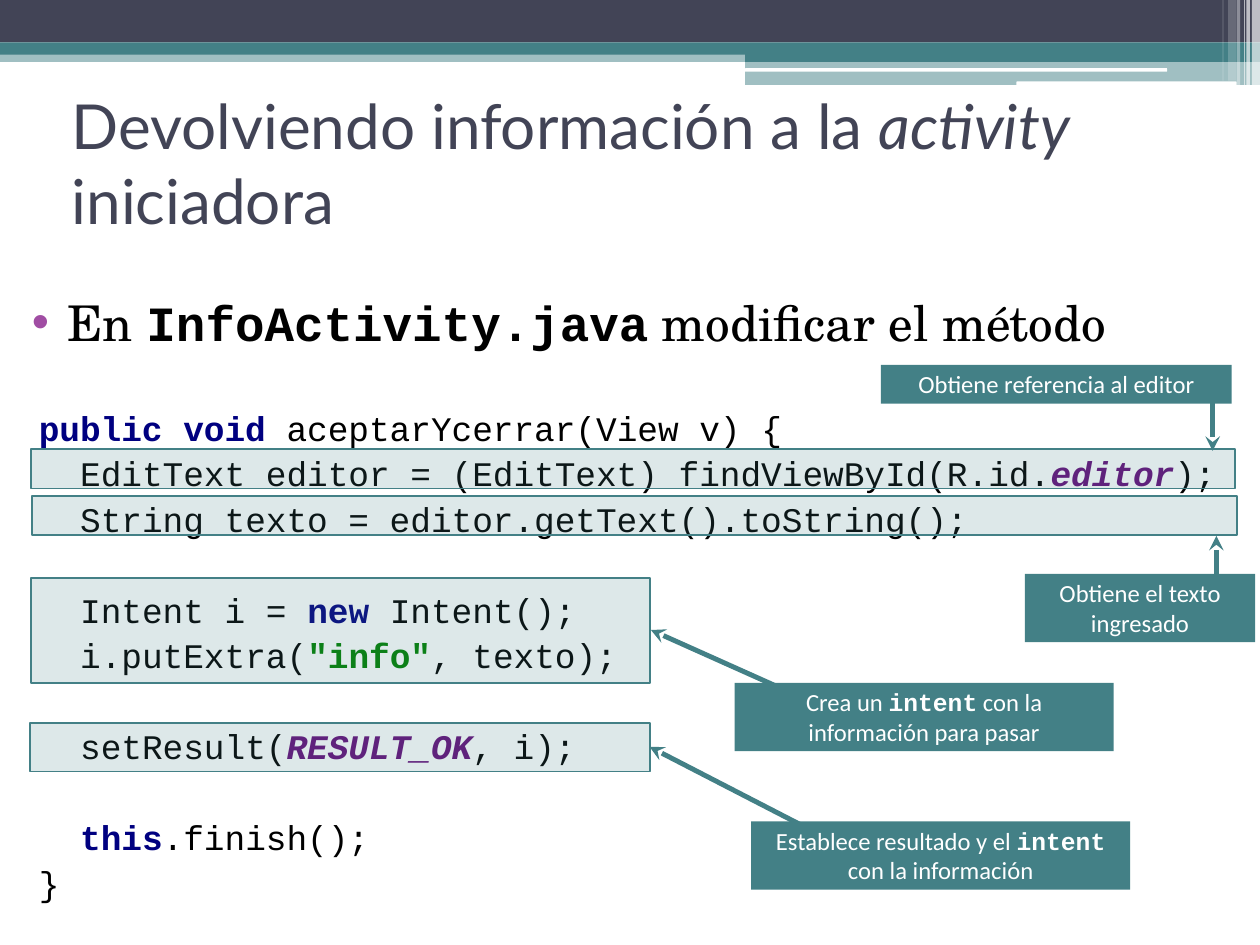
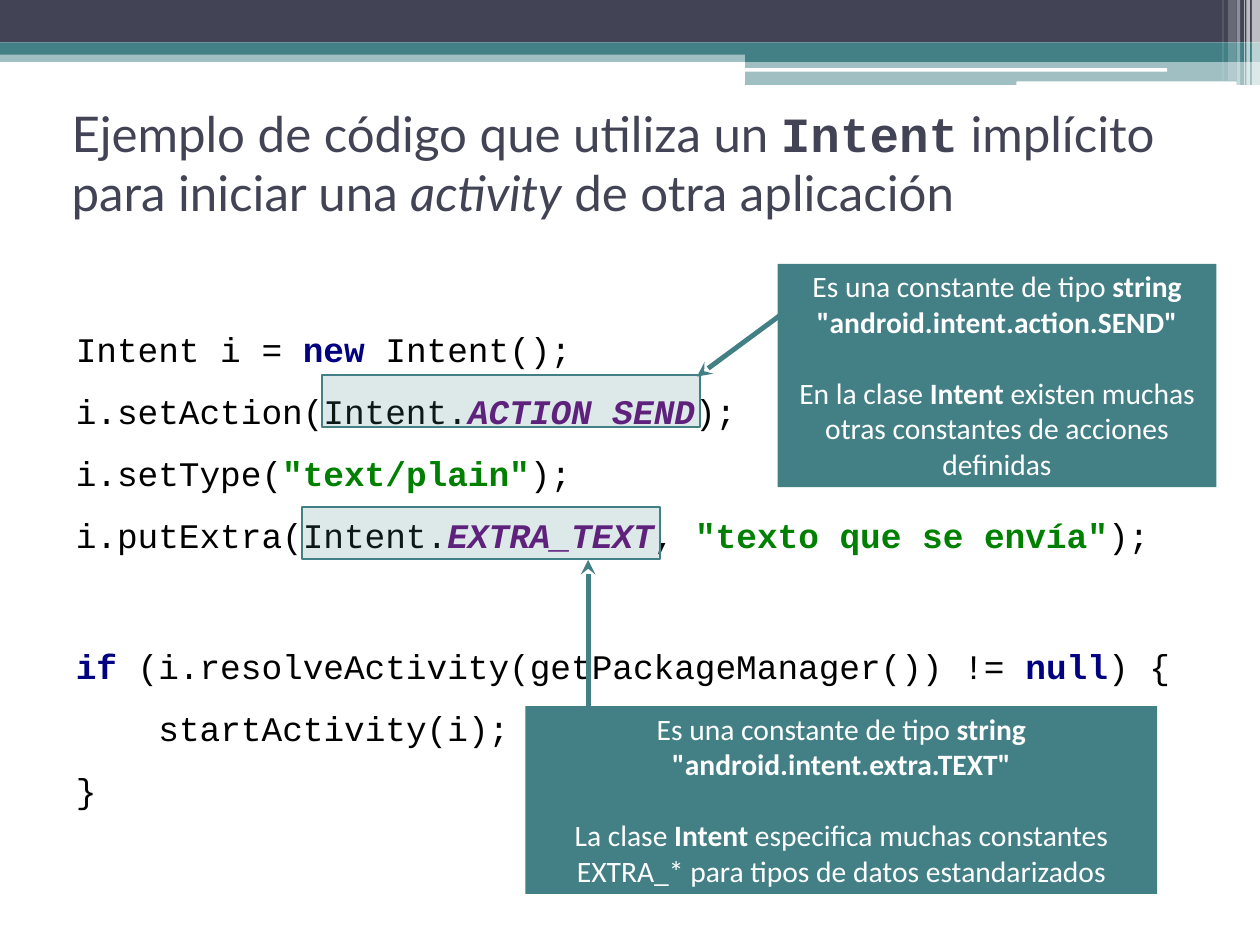
import dataclasses

import lxml.etree
import pptx
import pptx.dml.color
import pptx.enum.shapes
import pptx.enum.text
import pptx.oxml.ns
import pptx.util

Pt = pptx.util.Pt
qn = pptx.oxml.ns.qn
KIND = pptx.enum.shapes.MSO_SHAPE
ALIGN = pptx.enum.text.PP_ALIGN
ANCHOR = pptx.enum.text.MSO_ANCHOR
FIT = pptx.enum.text.MSO_AUTO_SIZE


@dataclasses.dataclass(frozen=True)
class Theme:
    dark: str = "424456"
    teal: str = "438086"
    white: str = "FFFFFF"
    black: str = "000000"
    dot: str = "A04DA3"
    navy: str = "000080"
    plum: str = "660E7A"
    green: str = "008000"
    head: str = "Lato"
    body: str = "TeX Gyre Schola"
    mono: str = "Courier New"
    note: str = "Calibri"
    big: float = 50.4
    mid: float = 40
    code: float = 28
    large: float = 24
    small: float = 20
    wash: int = 18


T = Theme()
WIDE, HIGH = 1024, 768
CHAR = T.code * 0.6

STYLES = {
    "key": {"ink": T.navy, "bold": True},
    "const": {"ink": T.plum, "bold": True, "italic": True},
    "quote": {"ink": T.green, "bold": True},
    "mono": {"name": T.mono, "bold": True},
    "bold": {"bold": True},
    "slant": {"italic": True},
}

BANDS = [
    (0, 41, WIDE, 9.4, T.teal, 50),
    (0, 0, WIDE, 34.5, T.dark, 100),
    (0, 34.5, WIDE, 10, T.teal, 100),
    (605.5, 40.3, 418.5, 10, T.teal, 100),
    (605.5, 49, 418.5, 20, T.teal, 50),
]
PILLS = [
    (605.5, 55.4, 343, 2.9, T.white, 100),
    (826, 66.2, 179, 4.3, T.white, 100),
]
STRIPES = [
    (1017.4, 6.5, 70, 65),
    (1013, 2.9, 70, 65),
    (1011, 0.7, 70, 60),
    (1005, 2.9, 70, 40),
    (998, 6.5, 65.5, 20),
    (993.6, 0.7, 65.5, 30),
]


def rgb(ink):
    return pptx.dml.color.RGBColor.from_string(ink)


def put(item, form):
    for name, value in form.items():
        if name == "ink":
            item.color.rgb = rgb(value)
        else:
            setattr(item, name, value)


def place(shape, left, top, width, height):
    put(shape, {"left": Pt(left), "top": Pt(top),
                "width": Pt(width), "height": Pt(height)})


def write(frame, lines, base, shared=None):
    for num, (runs, form) in enumerate(lines):
        para = frame.paragraphs[0] if num == 0 else frame.add_paragraph()
        put(para, {**(shared or {}), **form})
        for part in runs:
            text, style = (part, None) if isinstance(part, str) else part
            run = para.add_run()
            run.text = text
            put(run.font, {**base, **STYLES.get(style, {})})


def inset(para, left, first=0):
    props = para._p.get_or_add_pPr()
    props.set("marL", str(Pt(left)))
    props.set("indent", str(Pt(first)))
    return props


def block(shapes, kind, spot, fill, solid=100, edge=None):
    shape = shapes.add_shape(kind, *map(Pt, spot))
    shape.shadow.inherit = False
    shape.fill.solid()
    shape.fill.fore_color.rgb = rgb(fill)
    if solid < 100:
        color = shape.element.spPr.find(f"{qn('a:solidFill')}/{qn('a:srgbClr')}")
        lxml.etree.SubElement(color, qn("a:alpha"), val=str(solid * 1000))
    if edge:
        shape.line.color.rgb = rgb(edge)
        shape.line.width = Pt(1.5)
    else:
        shape.line.fill.background()
    return shape


def arrow(shapes, start, end):
    line = shapes.add_connector(pptx.enum.shapes.MSO_CONNECTOR.STRAIGHT,
                                *map(Pt, start + end))
    line.line.color.rgb = rgb(T.teal)
    line.line.width = Pt(4)
    props = line.element.spPr
    lxml.etree.SubElement(props.find(qn("a:ln")), qn("a:tailEnd"), type="stealth")
    lxml.etree.SubElement(props, qn("a:effectLst"))


def callout(slide, start, end, spot, frame, lines, size):
    shapes = slide.shapes.add_group_shape().shapes
    arrow(shapes, start, end)
    label = block(shapes, KIND.RECTANGLE, spot, T.teal)
    put(label.text_frame, {"word_wrap": True, "vertical_anchor": ANCHOR.TOP})
    write(label.text_frame, lines,
          {"name": T.note, "size": Pt(size), "ink": T.white},
          {"alignment": ALIGN.CENTER})
    block(shapes, KIND.RECTANGLE, frame, T.teal, T.wash, T.teal)


def title(slide, runs, size):
    frame = slide.shapes.title.text_frame
    put(frame, {"auto_size": FIT.NONE, "vertical_anchor": ANCHOR.MIDDLE})
    write(frame, [(runs, {"alignment": ALIGN.LEFT})], 
          {"name": T.head, "size": Pt(size), "ink": T.dark})


def bullet(slide, runs, spot):
    body = slide.placeholders[1]
    place(body, *spot)
    body.text_frame.auto_size = FIT.NONE
    write(body.text_frame,
          [(runs, {"line_spacing": 1.1, "space_before": Pt(24)})],
          {"name": T.body, "size": Pt(T.mid), "ink": T.black})
    props = inset(body.text_frame.paragraphs[0], 41, -28.8)
    color = lxml.etree.SubElement(props, qn("a:buClr"))
    lxml.etree.SubElement(color, qn("a:srgbClr"), val=T.dot)


def listing(slide, spot, rows):
    frame = slide.shapes.add_textbox(*map(Pt, spot)).text_frame
    put(frame, {"word_wrap": True, "vertical_anchor": ANCHOR.MIDDLE})
    lines = [(runs, {"line_spacing": pitch, "space_before": Pt(gap)})
             for runs, depth, pitch, gap in rows]
    write(frame, lines, {"name": T.mono, "size": Pt(T.code), "ink": T.black})
    for para, row in zip(frame.paragraphs, rows):
        inset(para, row[1] * CHAR)


def master(deck, slide):
    base = deck.slide_master
    place(base.placeholders[0], 51, 72, 922, 119.5)
    bars = [(KIND.RECTANGLE, *bar) for bar in BANDS]
    bars += [(KIND.ROUNDED_RECTANGLE, *pill) for pill in PILLS]
    bars += [(KIND.RECTANGLE, left, 0, width, height, T.white, solid)
             for left, width, height, solid in STRIPES]
    for num, (kind, *spot, fill, solid) in enumerate(bars):
        shape = block(slide.shapes, kind, spot, fill, solid)
        shape.element.nvSpPr.cNvPr.set("id", str(100 + num))
        base.shapes.element.insert(2 + num, shape.element)


def result(slide):
    title(slide, ["Devolviendo información a la ", ("activity", "slant"),
                  " iniciadora"], T.big)
    listing(slide, (24.5, 308, 980, 431.5), [
        ([("public void ", "key"), "aceptarYcerrar(View v) {"], 0, 1.5, 0),
        (["EditText editor = (EditText) findViewById(R.id.",
          ("editor", "const"), ");"], 2, 1.1, 0),
        (["String texto = editor.getText().toString();"], 2, 1.1, 0),
        (["Intent i = ", ("new ", "key"), "Intent();"], 2, 1.1, 37),
        (["i.putExtra(", ("\"info\"", "quote"), ", texto);"], 2, 1.1, 0),
        (["setResult(", ("RESULT_OK", "const"), ", i);"], 2, 1.1, 37),
        ([("this", "key"), ".finish();"], 2, 1.1, 37),
        (["}"], 0, 1.1, 0),
    ])
    bullet(slide, ["En ", ("InfoActivity.java", "mono"),
                   " modificar el método"], (6.5, 229, 973, 75.5))
    notes = [
        ((985.5, 327.5), (985.5, 366.5), (716, 296.5, 285, 31.5),
         (25, 365, 979, 32), ["Obtiene referencia al editor"]),
        ((988.5, 473), (988.5, 435.5), (833, 466.5, 187, 55.5),
         (26, 403, 979, 32), ["Obtiene el texto ingresado"]),
        ((687.5, 583), (529, 512), (597, 555, 308, 55.5),
         (25, 469.5, 503.5, 85.5),
         ["Crea un ", ("intent", "mono"), " con la información para pasar"]),
        ((687, 689), (528, 607), (610.5, 667.5, 308, 55.5),
         (24.5, 587.5, 503.5, 39.5),
         ["Establece resultado y el ", ("intent", "mono"),
          " con la información"]),
    ]
    for start, end, spot, frame, runs in notes:
        callout(slide, start, end, spot, frame, [(runs, {})], T.small)


def implied(slide):
    title(slide, ["Ejemplo de código que utiliza un ", ("Intent", "mono"),
                  " implícito para iniciar una ", ("activity", "slant"),
                  " de otra aplicación"], T.mid)
    rows = [
        (["Intent i = ", ("new ", "key"), "Intent();"], 0, 0),
        (["i.setAction(Intent.", ("ACTION_SEND", "const"), ");"], 0, 0),
        (["i.setType(", ("\"text/plain\"", "quote"), ");"], 0, 0),
        (["i.putExtra(Intent.", ("EXTRA_TEXT", "const"), ", ",
          ("\"texto que se envía\"", "quote"), ");"], 0, 0),
        ([("if ", "key"), "(i.resolveActivity(getPackageManager()) != ",
          ("null", "key"), ") {"], 0, 56),
        (["startActivity(i);"], 4, 0),
        (["}"], 0, 0),
    ]
    listing(slide, (54.5, 244, 914, 420.5),
            [(runs, depth, 1.5, gap) for runs, depth, gap in rows])
    notes = [
        ((659.5, 237.5), (566.5, 306), (632, 214.5, 356.5, 181.5),
         (261.5, 304.5, 307.5, 42.5), "\"android.intent.action.SEND\"",
         ["En la clase ", ("Intent", "bold"),
          " existen muchas otras constantes de acciones definidas"]),
        ((478, 639.5), (478, 455), (427, 574, 513.5, 152.5),
         (245.5, 412, 291, 42.5), "\"android.intent.extra.TEXT\"",
         ["La clase ", ("Intent", "bold"), " especifica muchas constantes "
          "EXTRA_* para tipos de datos estandarizados"]),
    ]
    for start, end, spot, frame, value, more in notes:
        lines = [
            (["Es una constante de tipo ", ("string", "bold")], {}),
            ([(value, "bold")], {}),
            (more, {"space_before": Pt(29)}),
        ]
        callout(slide, start, end, spot, frame, lines, T.large)


def main():
    deck = pptx.Presentation()
    put(deck, {"slide_width": Pt(WIDE), "slide_height": Pt(HIGH)})
    first = deck.slides.add_slide(deck.slide_layouts[1])
    master(deck, first)
    result(first)
    implied(deck.slides.add_slide(deck.slide_layouts[5]))
    deck.save("out.pptx")


if __name__ == "__main__":
    main()
